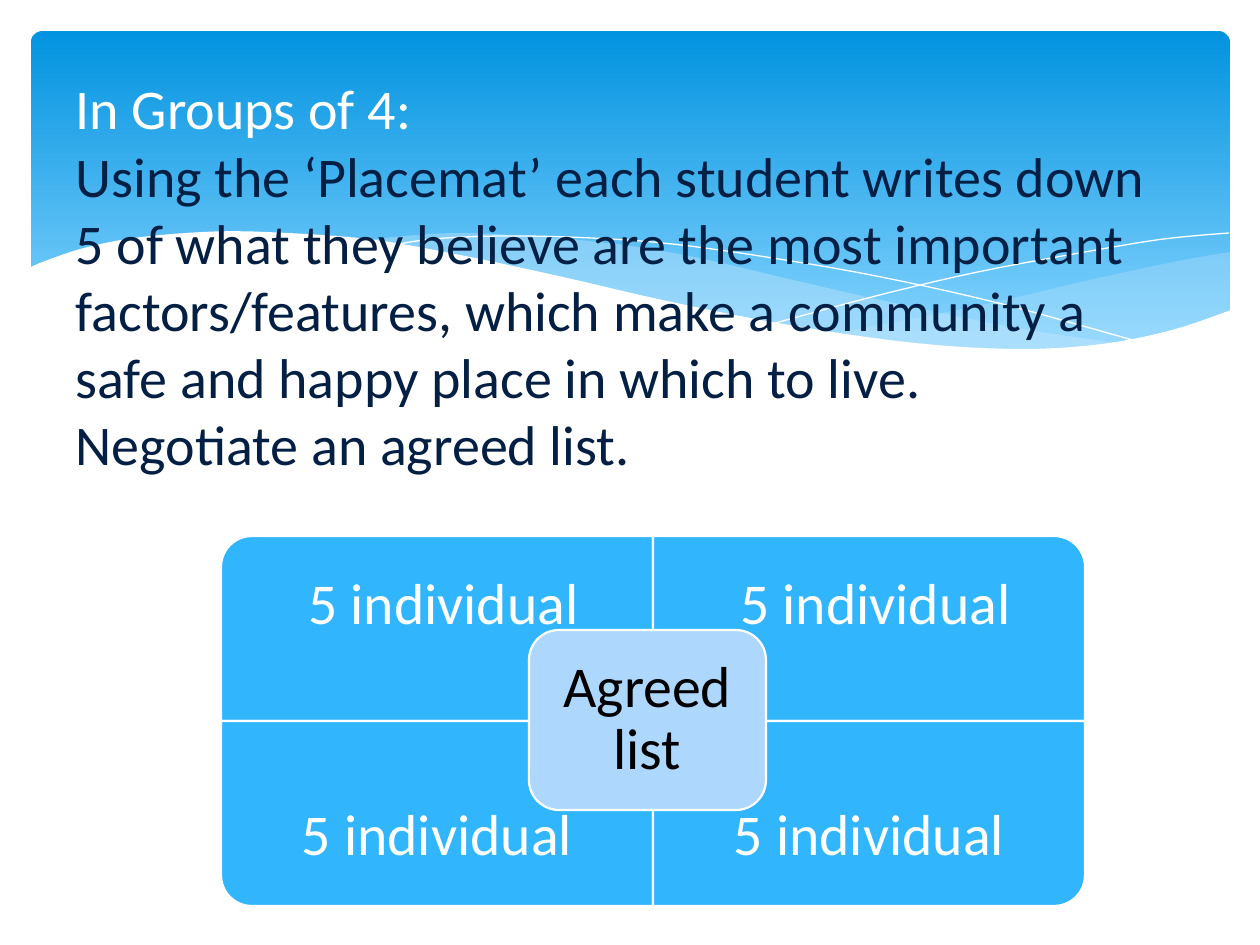
from lxml import etree
from pptx import Presentation, util as u
from pptx.dml.color import RGBColor
from pptx.enum import shapes, text
from pptx.oxml.ns import qn

# Content
TITLE = [
    ("In Groups of 4:", "white"),
    ("Using the ‘Placemat’ each student writes down 5 of what they believe are "
     "the most important factors/features, which make a community a safe and "
     "happy place in which to live.", "navy"),
    ("Negotiate an agreed list.", "navy"),
]
# Placemat corners: column, row, rotation, text
CORNERS = [
    (0, 0, 270, "5 individual"),
    (1, 0, 0, "5 individual"),
    (0, 1, 180, "5 individual"),
    (1, 1, 90, "5 individual"),
]
CENTRE = "Agreed list"

THEME = {
    "font": "Calibri", "title": 32, "label": 33, "border": 1.25,
    "white": "FFFFFF", "black": "000000", "navy": "041F44",
    "sky_top": "0293E0", "sky_low": "83D3FE", "wave": "C6E7FC",
    "corner": "31B6FD", "centre": "AED7FE",
}

# Waves: fill, opacity %, smooth edges through these points (px)
WAVES = [
    ("wave", 29, [
        [(1230, 252), (1178, 261), (1085, 281), (982, 305), (833, 334)],
        [(833, 334), (906, 343), (998, 349), (1076, 348), (1140, 339),
         (1196, 324), (1230, 311)]]),
    ("wave", 40, [
        [(1125, 344), (1017, 328), (890, 302), (793, 280), (699, 258),
         (616, 244), (529, 236), (455, 233), (394, 237), (360, 241)],
        [(360, 241), (456, 256), (566, 280), (713, 312), (838, 335),
         (942, 348), (1031, 350), (1092, 348), (1125, 344)]]),
    (None, 100, [
        [(389, 246), (433, 239), (505, 236), (591, 238), (672, 244),
         (766, 257), (876, 276), (1002, 304), (1143, 343)]]),
    (None, 100, [
        [(772, 324), (876, 296), (978, 272), (1091, 251), (1164, 239),
         (1229, 233)]]),
    ("white", 100, [
        [(1231, 310), (1172, 330), (1102, 344), (1019, 349), (915, 343),
         (789, 325), (667, 301), (563, 277), (460, 255), (368, 239),
         (266, 232), (203, 232), (134, 238), (84, 248), (45, 261), (29, 268)],
        [(29, 415), (1231, 415)]]),
]


def px(n):
    return u.Emu(round(n * 914400 / 126))


def color(name):
    return RGBColor.from_string(THEME[name])


def curve(pts, steps=5):
    """Catmull-Rom curve through pts, in EMU."""
    ends = [pts[0], *pts, pts[-1]]
    out = []
    for a, b, c, d in zip(ends, ends[1:], ends[2:], ends[3:]):
        for t in (i / steps for i in range(steps)):
            out.append(tuple(px(0.5 * (
                2 * q + (r - p) * t + (2 * p - 5 * q + 4 * r - v) * t ** 2
                + (3 * q - p - 3 * r + v) * t ** 3))
                for p, q, r, v in zip(a, b, c, d)))
    return out + [tuple(px(n) for n in pts[-1])]


def add_wave(s, fill, opacity, edges):
    pts = [pt for edge in edges for pt in curve(edge)]
    fb = s.shapes.build_freeform(*pts[0], scale=1.0)
    fb.add_line_segments(pts[1:], close=fill is not None)
    sp = fb.convert_to_shape()
    sp.shadow.inherit = False
    if fill is None:
        sp.fill.background()
        sp.line.color.rgb = color("white")
        sp.line.width = u.Pt(0)
        return
    sp.fill.solid()
    sp.fill.fore_color.rgb = color(fill)
    sp.line.fill.background()
    if opacity < 100:
        clr = sp.element.spPr.find(qn("a:solidFill"))[0]
        etree.SubElement(clr, qn("a:alpha")).set("val", str(opacity * 1000))


def add_tile(s, kind, x, y, w, h, fill):
    sp = s.shapes.add_shape(kind, px(x), px(y), px(w), px(h))
    sp.shadow.inherit = False
    sp.fill.solid()
    sp.fill.fore_color.rgb = color(fill)
    sp.line.color.rgb = color("white")
    sp.line.width = u.Pt(THEME["border"])
    return sp


def set_label(sp, words, ink, inset, extra_left=0):
    tf = sp.text_frame
    tf.word_wrap = True
    tf.vertical_anchor = text.MSO_ANCHOR.MIDDLE
    tf.margin_top = tf.margin_bottom = tf.margin_right = px(inset)
    tf.margin_left = px(inset + extra_left)
    p = tf.paragraphs[0]
    p.text = words
    p.alignment = text.PP_ALIGN.CENTER
    p.line_spacing = 0.9
    p.font.name, p.font.size = THEME["font"], u.Pt(THEME["label"])
    p.font.color.rgb = color(ink)


prs = Presentation()
prs.slide_width, prs.slide_height = px(1260), px(945)
s = prs.slides.add_slide(prs.slide_layouts[5])

# Sky panel
sky = s.shapes.add_shape(shapes.MSO_SHAPE.ROUNDED_RECTANGLE,
                         px(31), px(31), px(1199), px(340))
sky.adjustments[0] = 0.034
sky.shadow.inherit = False
sky.line.fill.background()
sky.fill.gradient()
sky.fill.gradient_angle = 270
for stop, name, pos in zip(sky.fill.gradient_stops, ("sky_top", "sky_low"), (0, 0.9)):
    stop.color.rgb = color(name)
    stop.position = pos

for wave in WAVES:
    add_wave(s, *wave)

# Title, in front of the waves
title = s.shapes.title
s.shapes.element.append(title.element)
title.left, title.top, title.width, title.height = px(63), px(47), px(1134), px(457)
tf = title.text_frame
tf.word_wrap = True
tf.auto_size = text.MSO_AUTO_SIZE.NONE
tf.vertical_anchor = text.MSO_ANCHOR.MIDDLE
p = tf.paragraphs[0]
p.alignment = text.PP_ALIGN.LEFT
p.font.name, p.font.size = THEME["font"], u.Pt(THEME["title"])
for i, (words, ink) in enumerate(TITLE):
    if i:
        p.add_line_break()
    r = p.add_run()
    r.text = words
    r.font.color.rgb = color(ink)

# Placemat corners: each tile is turned about its own centre
LEFT, TOP, W, H, LABEL_H = 221, 536, 432, 185, 139
for col, row, turn, words in CORNERS:
    x, y = LEFT + col * W, TOP + row * H
    w, h = (H, W) if turn % 180 else (W, H)
    sp = add_tile(s, shapes.MSO_SHAPE.ROUND_1_RECTANGLE,
                  x + (W - w) / 2, y + (H - h) / 2, w, h, "corner")
    sp.rotation = turn
    box = s.shapes.add_textbox(px(x), px(y + row * (H - LABEL_H)), px(W), px(LABEL_H))
    set_label(box, words, "white", 33, extra_left=0 if row else 13)

# Agreed list in the middle; the rounded corners add to the inset
sp = add_tile(s, shapes.MSO_SHAPE.ROUNDED_RECTANGLE, 529, 630, 237, 180, "centre")
set_label(sp, CENTRE, "black", 17)

prs.save("out.pptx")
